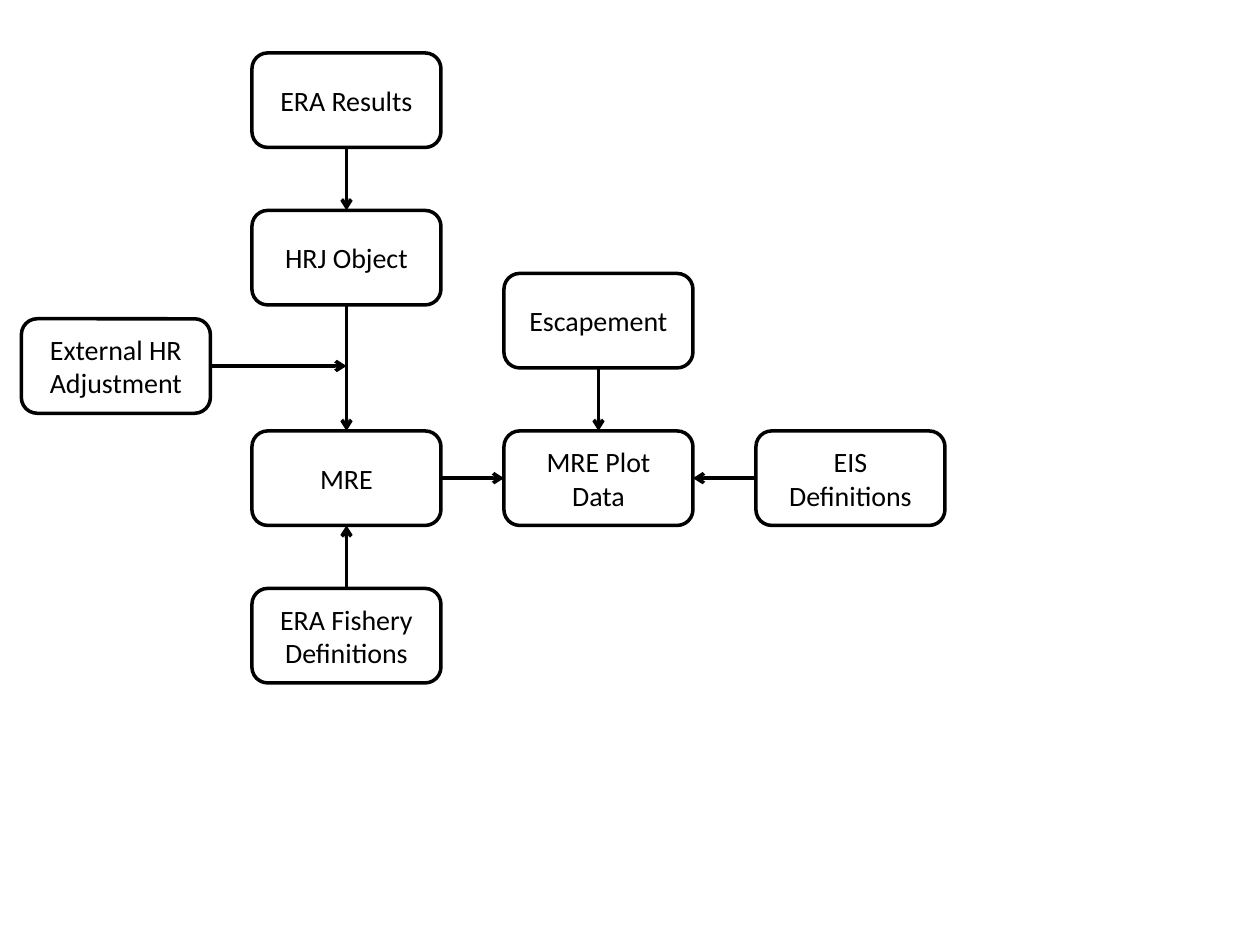
import pptx
import pptx.util
import pptx.dml.color
import pptx.enum.shapes
import pptx.enum.text
import pptx.oxml
import pptx.oxml.ns

Inch = pptx.util.Inches
Pt = pptx.util.Pt
hues = {"ink": "000000"}
ink = pptx.dml.color.RGBColor.from_string(hues["ink"])

deck = pptx.Presentation()
deck.slide_width, deck.slide_height = Inch(10), Inch(7.5)
slide = deck.slides.add_slide(deck.slide_layouts[6])

# Grid: columns 2 in apart, rows 1.25 in apart
wide, high = 1.5, 0.75
left, top = 2, 0.42
col, row = 2, 1.25
mre = top + 2.4 * row
side = 2.53


def write(shape, text, size=16, font="Calibri", color=ink):
    """Put centred text in a shape."""
    frame = shape.text_frame
    frame.word_wrap = True
    frame.vertical_anchor = pptx.enum.text.MSO_ANCHOR.MIDDLE
    para = frame.paragraphs[0]
    para.alignment = pptx.enum.text.PP_ALIGN.CENTER
    run = para.add_run()
    run.text = text
    run.font.size = Pt(size)
    run.font.name = font
    run.font.color.rgb = color


def link(x1, y1, x2, y2):
    """Draw an arrow between two points and return it."""
    line = slide.shapes.add_connector(
        pptx.enum.shapes.MSO_CONNECTOR.STRAIGHT,
        Inch(x1), Inch(y1), Inch(x2), Inch(y2))
    line.line.color.rgb = ink
    line.line.width = Pt(2)
    tail = pptx.oxml.parse_xml(
        '<a:tailEnd %s type="arrow"/>' % pptx.oxml.ns.nsdecls("a"))
    line.line._get_or_add_ln().append(tail)
    flat = pptx.oxml.parse_xml(
        "<a:effectLst %s/>" % pptx.oxml.ns.nsdecls("a"))
    line._element.spPr.append(flat)
    return line


# Name: text, left, top
nodes = {
    "era": ("ERA Results", left, top),
    "hrj": ("HRJ Object", left, top + row),
    "mre": ("MRE", left, mre),
    "fish": ("ERA Fishery Definitions", left, mre + row),
    "hr": ("External HR Adjustment", 0.17, side),
    "esc": ("Escapement", left + col, mre - row),
    "plot": ("MRE Plot Data", left + col, mre),
    "eis": ("EIS Definitions", left + 2 * col, mre),
}
boxes = {}
for name, (text, x, y) in nodes.items():
    box = slide.shapes.add_shape(
        pptx.enum.shapes.MSO_SHAPE.ROUNDED_RECTANGLE,
        Inch(x), Inch(y), Inch(wide), Inch(high))
    box.shadow.inherit = False
    box.fill.background()
    box.line.color.rgb = ink
    box.line.width = Pt(2)
    write(box, text)
    boxes[name] = box

# Connection sites: 0 top, 1 left, 2 bottom, 3 right
spots = [(wide / 2, 0), (0, high / 2), (wide / 2, high), (wide, high / 2)]
links = [
    ("era", 2, "hrj", 0),
    ("hrj", 2, "mre", 0),
    ("mre", 3, "plot", 1),
    ("eis", 1, "plot", 3),
    ("esc", 2, "plot", 0),
    ("fish", 0, "mre", 2),
]
for start, out, end, into in links:
    ends = []
    for name, site in ((start, out), (end, into)):
        ends += [nodes[name][1] + spots[site][0],
                 nodes[name][2] + spots[site][1]]
    line = link(*ends)
    line.begin_connect(boxes[start], out)
    line.end_connect(boxes[end], into)

# The adjustment joins the flow between HRJ Object and MRE
line = link(0.17 + wide, side + high / 2, left + wide / 2, side + high / 2)
line.begin_connect(boxes["hr"], 3)

deck.save("out.pptx")
